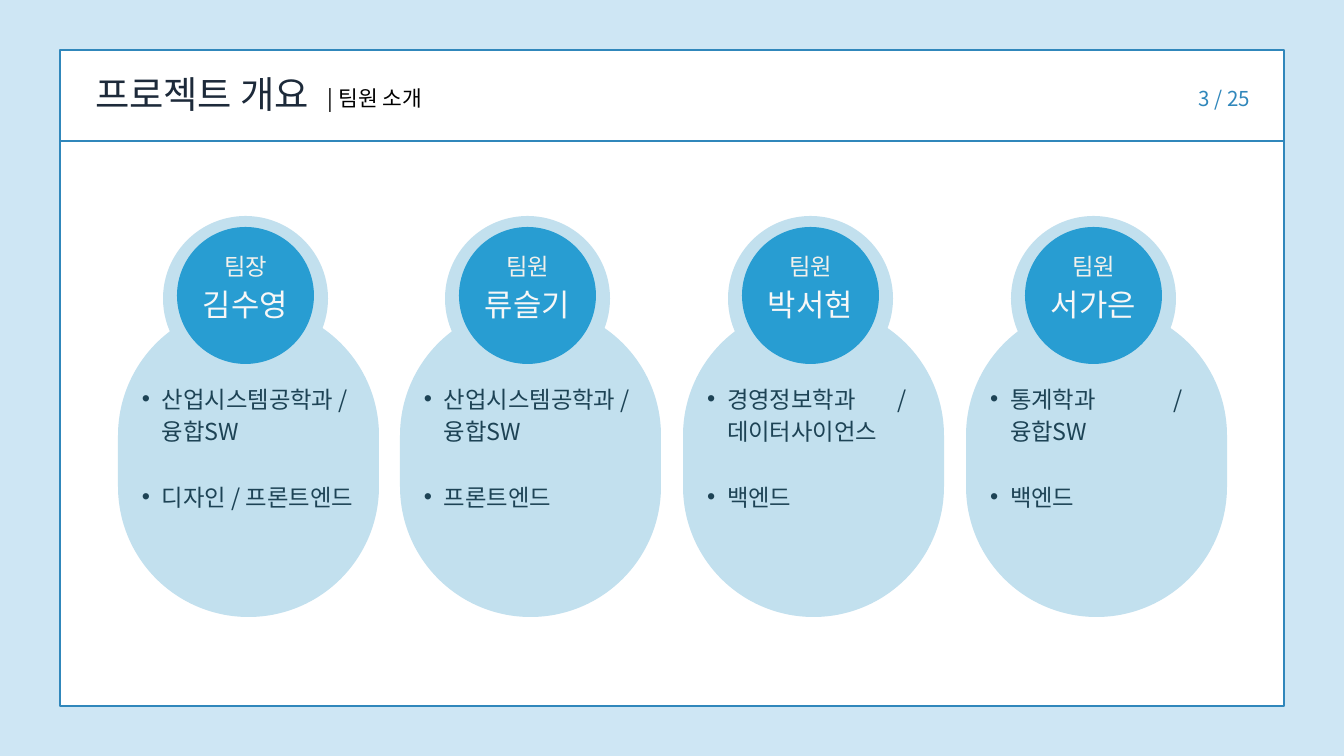
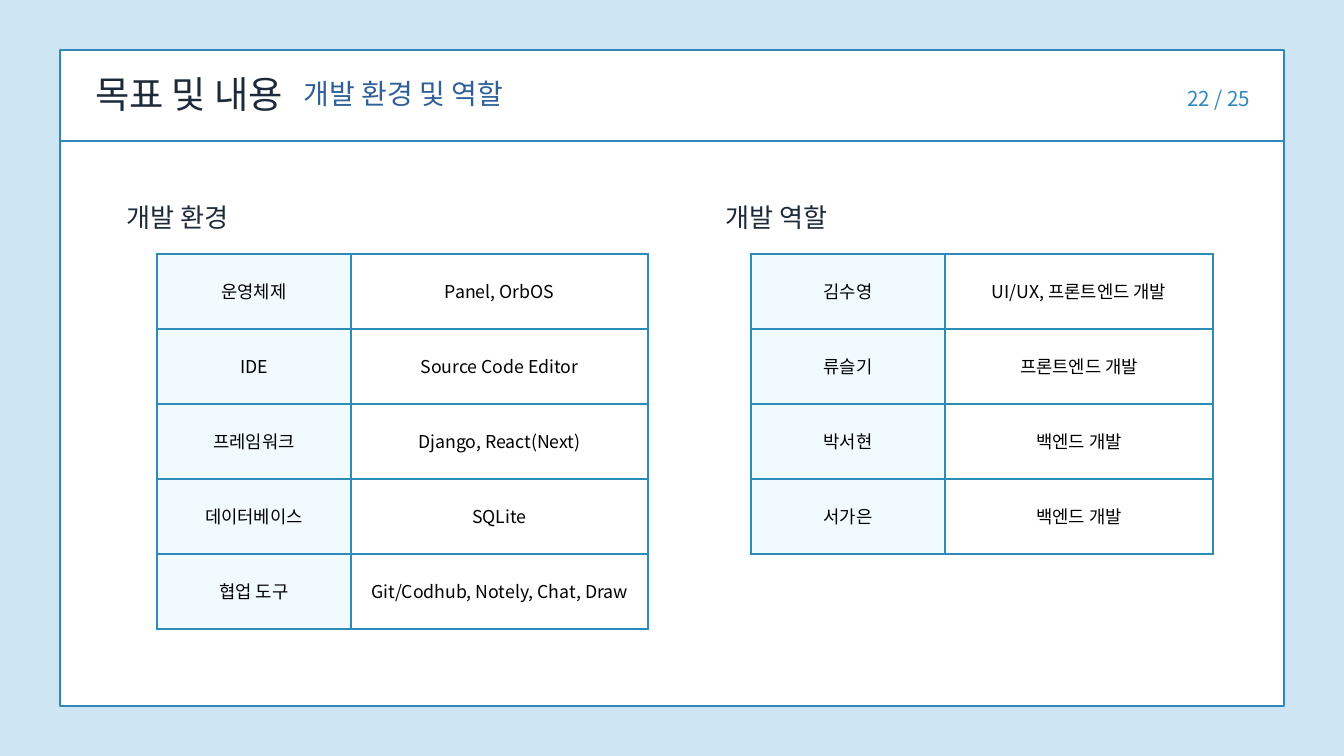
from lxml.etree import SubElement
from pptx import Presentation
from pptx.dml.color import RGBColor
from pptx.enum.shapes import MSO_CONNECTOR, MSO_SHAPE
from pptx.enum.text import MSO_ANCHOR, MSO_AUTO_SIZE, PP_ALIGN
from pptx.oxml.ns import qn
from pptx.util import Emu, Pt

SANS, LATO = "Noto Sans CJK KR", "Lato"
BACKGROUND, WHITE, BLACK = "CEE6F4", "FFFFFF", "000000"
FRAME_BLUE, BORDER_BLUE, SUBTITLE_BLUE = "3087BB", "2D8BBA", "2F5F98"
PALE_BLUE, DISC_BLUE, LABEL_FILL = "C2E0EE", "289DD2", "F1FAFF"
INK, LIST_INK, ROLE_INK, NAME_INK = "1D2A3A", "1D4355", "F2F1EC", "F7F7F7"
LEFT, CENTER, RIGHT = PP_ALIGN.LEFT, PP_ALIGN.CENTER, PP_ALIGN.RIGHT

COMPARISON_LAYOUT, TITLE_ONLY_LAYOUT = 4, 5
PAGE_COUNT = 25

MEMBERS = [
    ("팀장", "김수영", "산업시스템공학과", 0, "융합SW", "디자인 / 프론트엔드"),
    ("팀원", "류슬기", "산업시스템공학과", 0, "융합SW", "프론트엔드"),
    ("팀원", "박서현", "경영정보학과", 39, "데이터사이언스", "백엔드"),
    ("팀원", "서가은", "통계학과", 78, "융합SW", "백엔드"),
]

TABLES = [
    ("개발 환경", 127, 157, (194, 297), [
        ("운영체제", "Panel, OrbOS"),
        ("IDE", "Source Code Editor"),
        ("프레임워크", "Django, React(Next)"),
        ("데이터베이스", "SQLite"),
        ("협업 도구", "Git/Codhub, Notely, Chat, Draw"),
    ]),
    ("개발 역할", 726, 751, (194, 268), [
        ("김수영", "UI/UX, 프론트엔드 개발"),
        ("류슬기", "프론트엔드 개발"),
        ("박서현", "백엔드 개발"),
        ("서가은", "백엔드 개발"),
    ]),
]


def px(length):
    return Emu(round(length * 914400 / 67.2))


def color(value):
    return RGBColor.from_string(value)


def format_paragraph(paragraph, size, ink, spacing, font=SANS, align=LEFT):
    paragraph.alignment = align
    paragraph.line_spacing = Pt(spacing)
    paragraph.space_before = paragraph.space_after = Pt(0)
    for run in paragraph.runs:
        run.font.size = Pt(size)
        run.font.bold = False
        run.font.name = font
        run.font.color.rgb = color(ink)
        SubElement(run._r.get_or_add_rPr(), qn("a:ea"), typeface=SANS)


def prepare_frame(text_frame, wrap=True):
    text_frame.auto_size = MSO_AUTO_SIZE.NONE
    text_frame.word_wrap = wrap
    text_frame.vertical_anchor = MSO_ANCHOR.TOP
    text_frame.margin_left = text_frame.margin_right = 0
    text_frame.margin_top = text_frame.margin_bottom = 0


def place(shape, left, top, width, height):
    shape.left, shape.top = px(left), px(top)
    shape.width, shape.height = px(width), px(height)


def fill_text(shape, text, *style, **options):
    prepare_frame(shape.text_frame)
    shape.text_frame.text = text
    format_paragraph(shape.text_frame.paragraphs[0], *style, **options)


def add_label(slide, box, text, *style, **options):
    label = slide.shapes.add_textbox(*map(px, box))
    fill_text(label, text, *style, **options)


def add_block(slide, kind, box, fill, line=None):
    block = slide.shapes.add_shape(kind, *map(px, box))
    block.shadow.inherit = False
    block.fill.solid()
    block.fill.fore_color.rgb = color(fill)
    if line:
        block.line.color.rgb = color(line)
        block.line.width = Pt(1.5)
    else:
        block.line.fill.background()
    return block


def add_page(presentation, layout, title_text, page):
    slide = presentation.slides.add_slide(presentation.slide_layouts[layout])
    frame = add_block(slide, MSO_SHAPE.RECTANGLE, (60, 50, 1224, 656), WHITE, FRAME_BLUE)
    title = slide.shapes.title
    frame.element.addnext(title.element)
    place(title, 95, 64, 247, 56)
    fill_text(title, title_text, 40, INK, 56, font=LATO)
    add_label(slide, (974, 82, 276, 28), f"{page} / {PAGE_COUNT}",
              22, FRAME_BLUE, 30.8, align=RIGHT)
    rule = slide.shapes.add_connector(MSO_CONNECTOR.STRAIGHT, px(60), px(141), px(1284), px(141))
    rule.line.color.rgb = color(FRAME_BLUE)
    rule.line.width = Pt(1.5)
    SubElement(rule.element.spPr, qn("a:effectLst"))
    return slide


def add_bullet(paragraph):
    properties = paragraph._p.get_or_add_pPr()
    properties.set("marL", str(px(40)))
    properties.set("indent", str(px(-20)))
    SubElement(properties, qn("a:buChar"), char="•")


def fill_member_list(body, department, gap, minor, work):
    text_frame = body.text_frame
    prepare_frame(text_frame)
    study, job = text_frame.paragraphs[0], text_frame.add_paragraph()
    for text in (department, " ", f"/ {minor}"):
        study.add_run().text = text
    study.runs[1]._r.get_or_add_rPr().set("spc", str(gap * 100))
    job.text = work
    for paragraph in (study, job):
        add_bullet(paragraph)
        format_paragraph(paragraph, 25, LIST_INK, 35)
    job.space_before = Pt(35)


def add_member(slide, body, left, member):
    role, name, *details = member
    pill = add_block(slide, MSO_SHAPE.ROUNDED_RECTANGLE, (left, 305, 261, 312), PALE_BLUE)
    pill.adjustments[0] = 0.5
    add_block(slide, MSO_SHAPE.OVAL, (left + 45, 216, 165, 165), PALE_BLUE)
    disc = add_block(slide, MSO_SHAPE.OVAL, (left + 59, 227, 137, 137), DISC_BLUE)
    prepare_frame(disc.text_frame, wrap=False)
    disc.text_frame.text = f"{role}\n{name}"
    role_line, name_line = disc.text_frame.paragraphs
    format_paragraph(role_line, 25, ROLE_INK, 35, align=CENTER)
    format_paragraph(name_line, 33, NAME_INK, 46.2, align=CENTER)
    disc.element.addnext(body.element)
    place(body, left + 4, 380, 253, 131)
    fill_member_list(body, *details)


def add_borders(cell):
    properties = cell._tc.get_or_add_tcPr()
    for side in ("lnL", "lnR", "lnT", "lnB"):
        line = SubElement(properties, qn(f"a:{side}"), w=str(Pt(1.5)))
        SubElement(SubElement(line, qn("a:solidFill")), qn("a:srgbClr"), val=BORDER_BLUE)


def add_grid(slide, left, top, widths, rows, row_height=75):
    box = (left, top, sum(widths), row_height * len(rows))
    table = slide.shapes.add_table(len(rows), len(widths), *map(px, box)).table
    table.first_row = table.horz_banding = False
    for column, width in zip(table.columns, widths):
        column.width = px(width)
    for row, texts in zip(table.rows, rows):
        row.height = px(row_height)
        for index, (cell, text) in enumerate(zip(row.cells, texts)):
            cell.text = text
            cell.vertical_anchor = MSO_ANCHOR.MIDDLE
            cell.margin_left = cell.margin_right = px(14)
            cell.margin_top = cell.margin_bottom = px(14)
            format_paragraph(cell.text_frame.paragraphs[0], 19, BLACK, 26.6, align=CENTER)
            add_borders(cell)
            if index == 0:
                cell.fill.solid()
                cell.fill.fore_color.rgb = color(LABEL_FILL)
            else:
                cell.fill.background()


def build_team(presentation):
    slide = add_page(presentation, COMPARISON_LAYOUT, "프로젝트 개요", 3)
    add_label(slide, (328, 81, 246, 30), "| 팀원 소개", 23, BLACK, 32.2)
    bodies = [slide.placeholders[index] for index in range(1, len(MEMBERS) + 1)]
    for index, (body, member) in enumerate(zip(bodies, MEMBERS)):
        add_member(slide, body, 118 + 848 * index // 3, member)


def build_environment(presentation):
    slide = add_page(presentation, TITLE_ONLY_LAYOUT, "목표 및 내용", 22)
    add_label(slide, (304, 71, 296, 44), "개발 환경 및 역할", 30, SUBTITLE_BLUE, 42, font=LATO)
    for heading, heading_left, table_left, widths, rows in TABLES:
        add_label(slide, (heading_left, 201, 286, 36), heading, 28, INK, 33.6, font=LATO)
        add_grid(slide, table_left, 254, widths, rows)


def main():
    presentation = Presentation()
    presentation.slide_width, presentation.slide_height = px(1344), px(756)
    background = presentation.slide_master.background.fill
    background.solid()
    background.fore_color.rgb = color(BACKGROUND)
    build_team(presentation)
    build_environment(presentation)
    presentation.save("out.pptx")


if __name__ == "__main__":
    main()
